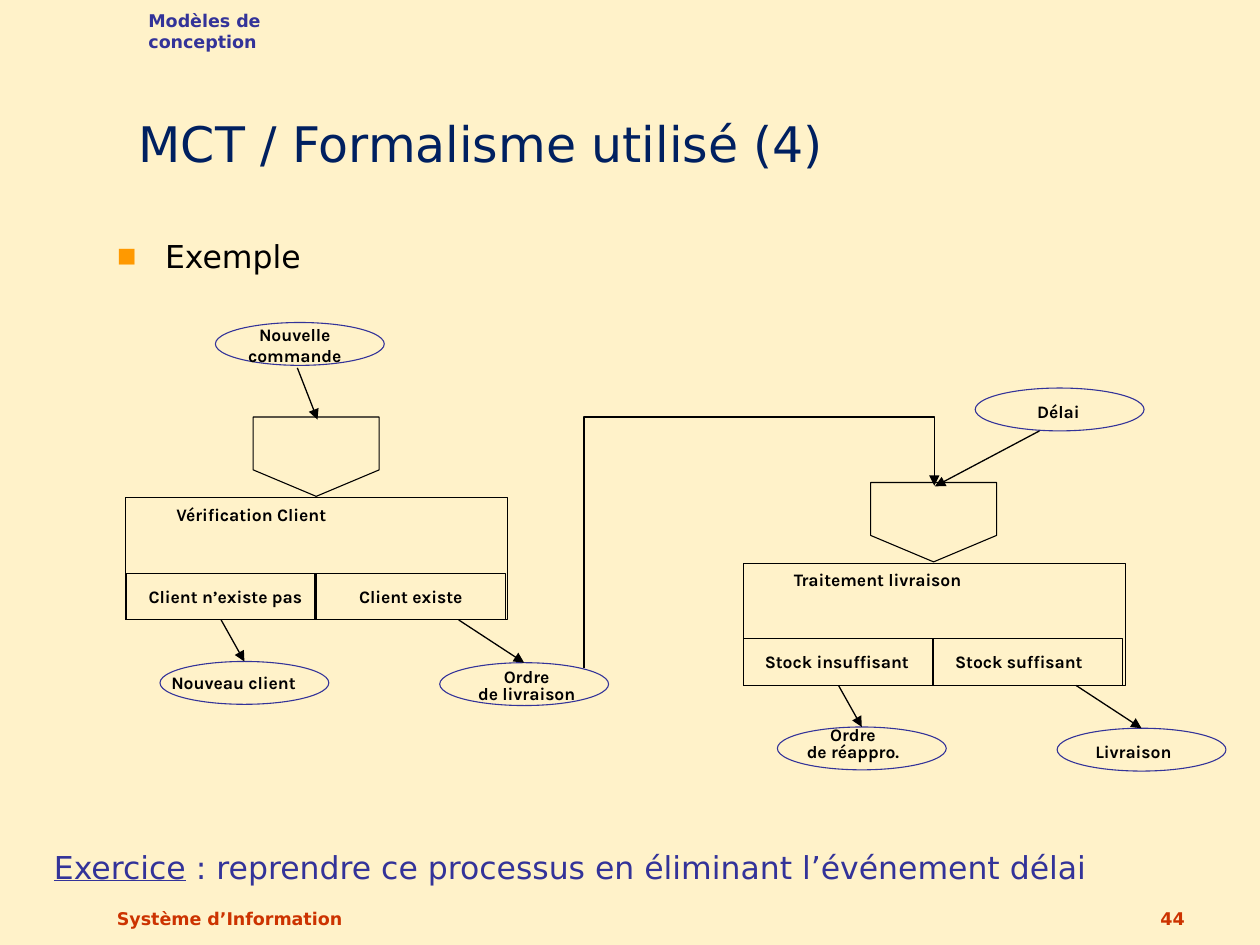
from lxml import etree
from pptx import Presentation
from pptx.dml.color import RGBColor
from pptx.enum.shapes import MSO_CONNECTOR, MSO_SHAPE
from pptx.enum.text import MSO_ANCHOR, MSO_AUTO_SIZE, PP_ALIGN
from pptx.oxml.ns import qn
from pptx.util import Inches, Pt

LEFT, CENTER, RIGHT = PP_ALIGN.LEFT, PP_ALIGN.CENTER, PP_ALIGN.RIGHT
TOP, BOTTOM = MSO_ANCHOR.TOP, MSO_ANCHOR.BOTTOM
STRAIGHT, ELBOW = MSO_CONNECTOR.STRAIGHT, MSO_CONNECTOR.ELBOW
RECTANGLE, OVAL = MSO_SHAPE.RECTANGLE, MSO_SHAPE.OVAL

COLORS = {
    "background": "FFF2C9", "title": "002060", "text": "000000",
    "accent": "333399", "footer": "CC3300", "bullet": "FF9900",
}
HEADING_FONT, DIAGRAM_FONT = "DejaVu Sans", "Karla"
EVENT_WIDTH, EVENT_HEIGHT = 1.34, 0.34
OPERATION_WIDTH, OPERATION_HEIGHT = 3.03, 0.97
OUTCOME_WIDTH, OUTCOME_HEIGHT = 1.51, 0.37


def color(name):
    return RGBColor.from_string(COLORS[name])


def format_paragraph(paragraph, size, color_name, bold=False, align=LEFT, name=HEADING_FONT):
    paragraph.alignment = align
    font = paragraph.font
    font.name, font.size, font.bold = name, Pt(size), bold
    font.color.rgb = color(color_name)


def add_text(slide, box, text, size, color_name, bold=False, align=LEFT, anchor=TOP):
    shape = slide.shapes.add_textbox(*map(Inches, box))
    frame = shape.text_frame
    frame.word_wrap = True
    frame.vertical_anchor = anchor
    frame.text = text
    format_paragraph(frame.paragraphs[0], size, color_name, bold, align)
    return frame.paragraphs[0]


def add_label(slide, left, top, width, text, align=LEFT, spacing=1.0):
    """Place a tight diagram label, one paragraph per line of text."""
    lines = text.split("\n")
    height = 0.17 * len(lines) * spacing
    shape = slide.shapes.add_textbox(*map(Inches, (left, top, width, height)))
    frame = shape.text_frame
    frame.margin_left = frame.margin_right = frame.margin_top = frame.margin_bottom = 0
    frame.word_wrap = False
    frame.auto_size = MSO_AUTO_SIZE.SHAPE_TO_FIT_TEXT
    frame.text = text
    for paragraph in frame.paragraphs:
        format_paragraph(paragraph, 10, "text", True, align, DIAGRAM_FONT)
        paragraph.line_spacing = spacing


def style_outline(shape, color_name="text"):
    shape.shadow.inherit = False
    shape.fill.background()
    shape.line.color.rgb = color(color_name)
    shape.line.width = Pt(0.63)


def add_outline(slide, kind, left, top, width, height, color_name="text"):
    shape = slide.shapes.add_shape(kind, *map(Inches, (left, top, width, height)))
    style_outline(shape, color_name)
    return shape


def add_arrow(slide, start, end, kind=STRAIGHT):
    arrow = slide.shapes.add_connector(kind, *map(Inches, (*start, *end)))
    arrow.line.color.rgb = color("text")
    arrow.line.width = Pt(0.75)
    properties = arrow._element.spPr
    etree.SubElement(properties.find(qn("a:ln")), qn("a:tailEnd"), type="triangle")
    etree.SubElement(properties, qn("a:effectLst"))
    return arrow


def add_event(slide, left, top, label):
    """Draw an event oval; label is text, left and top offset, width, spacing, alignment."""
    text, label_left, label_top, width, spacing, align = label
    oval = add_outline(slide, OVAL, left, top, EVENT_WIDTH, EVENT_HEIGHT, "accent")
    add_label(slide, left + label_left, top + label_top, width, text, align, spacing)
    return oval


def add_operation(slide, left, top, title, title_width, outcomes, results):
    """Draw synchronisation, operation box, its two outcomes and resulting events."""
    points = [(1.01, -0.64), (2.01, -0.64), (2.01, -0.22), (1.51, -0.01), (1.01, -0.22)]
    corners = [(Inches(left + x), Inches(top + y)) for x, y in points]
    builder = slide.shapes.build_freeform(*corners[0])
    builder.add_line_segments(corners[1:], close=True)
    style_outline(builder.convert_to_shape())

    add_outline(slide, RECTANGLE, left, top, OPERATION_WIDTH, OPERATION_HEIGHT)
    add_label(slide, left + 0.4, top + 0.05, title_width, title)
    cells = []
    for index, (text, label_left, width) in enumerate(outcomes):
        cells.append(add_outline(slide, RECTANGLE, left + 1.5 * index, top + 0.6,
                                 OUTCOME_WIDTH, OUTCOME_HEIGHT))
        add_label(slide, left + label_left, top + 0.7, width, text)

    ovals = [add_event(slide, left + 0.27 + 2.22 * index, top + 1.3 + 0.01 * index, label)
             for index, label in enumerate(results)]
    bottom = top + OPERATION_HEIGHT
    first = add_arrow(slide, (left + 0.77, bottom), (left + 0.94, top + 1.3))
    first.begin_connect(cells[0], 2)
    first.end_connect(ovals[0], 0)
    second = add_arrow(slide, (left + 2.64, bottom), (left + 3.16, top + 1.31))
    second.end_connect(ovals[1], 0)


def add_feedback_arrow(slide):
    """Lead the delivery order up and over to the second synchronisation."""
    arrow = add_arrow(slide, (5.3, 3.19), (6.75, 5.97), ELBOW)
    properties = arrow._element.spPr
    properties.find(qn("a:xfrm")).set("rot", str(270 * 60000))
    guides = properties.find(qn("a:prstGeom")).find(qn("a:avLst"))
    etree.SubElement(guides, qn("a:gd"), name="adj1", fmla="val 137700")


def place(shape, box):
    shape.left, shape.top, shape.width, shape.height = map(Inches, box)


def fill_title(title, box):
    place(title, box)
    frame = title.text_frame
    frame.text = "MCT / Formalisme utilisé (4)"
    frame.vertical_anchor = BOTTOM
    frame.auto_size = MSO_AUTO_SIZE.NONE
    format_paragraph(frame.paragraphs[0], 28, "title")


def fill_body(body, box):
    place(body, box)
    frame = body.text_frame
    frame.text = "Exemple"
    frame.auto_size = MSO_AUTO_SIZE.NONE
    paragraph = frame.paragraphs[0]
    properties = paragraph._p.get_or_add_pPr()
    properties.set("marL", str(Inches(0.38)))
    properties.set("indent", str(-Inches(0.38)))
    bullet_color = etree.SubElement(properties, qn("a:buClr"))
    etree.SubElement(bullet_color, qn("a:srgbClr"), val=COLORS["bullet"])
    etree.SubElement(properties, qn("a:buSzPct"), val="65000")
    etree.SubElement(properties, qn("a:buFont"), typeface=HEADING_FONT)
    etree.SubElement(properties, qn("a:buChar"), char="■")
    paragraph.space_before = Pt(0)
    format_paragraph(paragraph, 18, "text")


def add_diagram(slide):
    add_event(slide, 1.71, 2.56, ("Nouvelle\ncommande", 0.25, 0.01, 0.76, 1.0, CENTER))
    add_arrow(slide, (2.36, 2.92), (2.52, 3.33))
    add_operation(
        slide, 1, 3.95, "Vérification Client", 1.25,
        [("Client n’existe pas", 0.18, 1.27), ("Client existe", 1.85, 0.9)],
        [("Nouveau client", 0.09, 0.08, 1.04, 1.0, LEFT),
         ("Ordre\nde livraison", 0.29, 0.06, 0.8, 0.8, CENTER)])

    add_event(slide, 7.74, 3.08, ("Délai", 0.48, 0.1, 0.36, 1.0, CENTER))
    add_arrow(slide, (8.25, 3.42), (7.42, 3.86))
    add_operation(
        slide, 5.9, 4.47, "Traitement livraison", 1.41,
        [("Stock insuffisant", 0.17, 1.17), ("Stock suffisant", 1.68, 1.08)],
        [("Ordre\nde réappro.", 0.2, 0.01, 0.8, 0.8, CENTER),
         ("Livraison", 0.29, 0.13, 0.63, 0.8, CENTER)])
    add_feedback_arrow(slide)


def add_exercise(slide, box):
    paragraph = add_text(slide, box, "Exercice", 18, "accent")
    paragraph.runs[0].font.underline = True
    paragraph.add_run().text = " : reprendre ce processus en éliminant l’événement délai"


def main():
    presentation = Presentation()
    presentation.slide_width, presentation.slide_height = Inches(10), Inches(7.5)
    slide = presentation.slides.add_slide(presentation.slide_layouts[1])
    slide.background.fill.solid()
    slide.background.fill.fore_color.rgb = color("background")

    fill_title(slide.shapes.title, (1, 0.17, 9.32, 1.25))
    fill_body(slide.placeholders[1], (0.83, 1.83, 8.42, 0.42))
    add_text(slide, (1.08, 0.03, 1.97, 0.27), "Modèles de conception", 10, "accent", True)
    add_diagram(slide)
    add_exercise(slide, (0.33, 6.68, 9.67, 0.4))
    add_text(slide, (0.83, 6.92, 3.17, 0.5), "Système d’Information",
             10, "footer", True, LEFT, BOTTOM)
    add_text(slide, (7.42, 6.92, 2.08, 0.5), "44", 10, "footer", True, RIGHT, BOTTOM)
    presentation.save("out.pptx")


if __name__ == "__main__":
    main()
